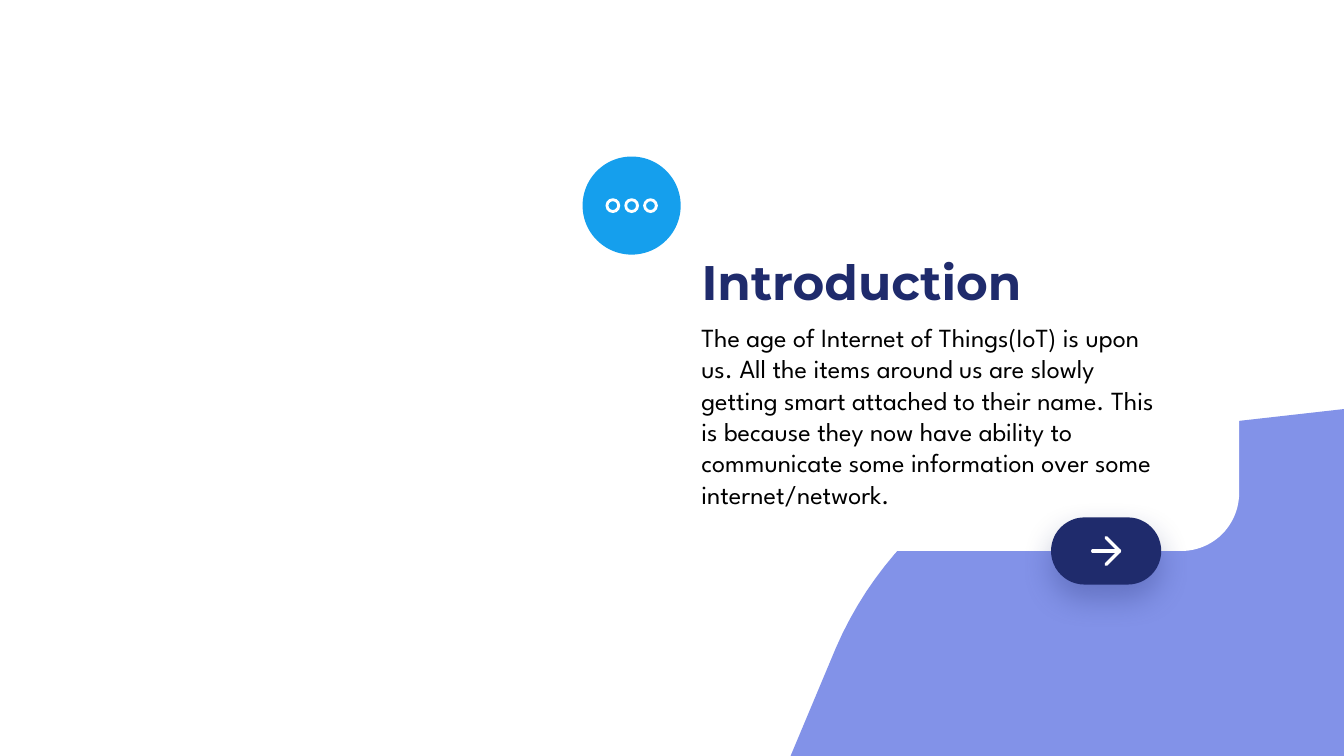
import pptx
import pptx.util
import pptx.dml.color
import pptx.enum.shapes
import pptx.enum.text
import pptx.oxml
import pptx.oxml.ns

Inches, Pt = pptx.util.Inches, pptx.util.Pt
SHAPE = pptx.enum.shapes.MSO_SHAPE
ANCHOR = pptx.enum.text.MSO_ANCHOR

# Content
HEADING = "Introduction"
BODY = ("The age of Internet of Things(IoT) is upon us. All the items around us "
        "are slowly getting smart attached to their name. This is because they now "
        "have ability to communicate some information over some internet/network.")
COLORS = {"wave": "8292E8", "white": "FFFFFF", "navy": "1F2B6C",
          "sky": "159FED", "black": "000000"}
HEADING_FONT = {"name": "Montserrat", "size": Pt(26), "bold": True}
BODY_FONT = {"name": "League Spartan", "size": Pt(14), "bold": False}

# Layout, in inches, on a 16:9 slide
WIDTH = 10
HEIGHT = WIDTH * 9 / 16
TEXT_LEFT, TEXT_WIDTH = 5.12, 3.66
CARD = (4.69, 1.52, 4.53, 2.58)
BADGE_CENTER, BADGE_SIZE = (4.7, 1.53), 0.73
DOT_SIZE, DOT_PITCH = 0.11, 0.14
BUTTON = (7.82, 3.85, 0.82, 0.5)
ARROW_TAIL, ARROW_TIP, ARROW_Y, ARROW_HEAD = 8.13, 8.33, 4.1, 0.1
WAVE_START, WAVE_CURVE = (5.88, 5.63), [(6.22, 4.82), (6.6, 3.94), (7.41, 3.33), (8.35, 3.23)]
WAVE_RIGHT, WAVE_TOP = 10.03, 3.04

prs = pptx.Presentation()
prs.slide_width, prs.slide_height = Inches(WIDTH), Inches(HEIGHT)
slide = prs.slides.add_slide(prs.slide_layouts[5])
shapes = slide.shapes


def rgb(color):
    return pptx.dml.color.RGBColor.from_string(COLORS[color])


def add_filled(kind, box, color, adjustment=None):
    shape = shapes.add_shape(kind, *map(Inches, box))
    shape.shadow.inherit = False
    shape.fill.solid()
    shape.fill.fore_color.rgb = rgb(color)
    shape.line.fill.background()
    if adjustment is not None:
        shape.adjustments[0] = adjustment
    return shape


def add_path(points, close):
    points = [(Inches(x), Inches(y)) for x, y in points]
    builder = shapes.build_freeform(*points[0])
    builder.add_line_segments(points[1:], close=close)
    path = builder.convert_to_shape()
    path.shadow.inherit = False
    return path


def centered(center, size):
    return center[0] - size / 2, center[1] - size / 2, size, size


def bezier(controls, steps=24):
    weights = (1, 3, 3, 1)
    for step in range(steps + 1):
        t = step / steps
        yield tuple(sum(w * (1 - t) ** (3 - i) * t ** i * point[axis]
                        for i, (w, point) in enumerate(zip(weights, controls)))
                    for axis in (0, 1))


def write(shape, box, text, font, color, anchor):
    shape.left, shape.top, shape.width, shape.height = map(Inches, box)
    frame = shape.text_frame
    settings = {"word_wrap": True, "auto_size": pptx.enum.text.MSO_AUTO_SIZE.NONE,
                "vertical_anchor": anchor}
    settings.update({f"margin_{side}": Inches(0.1)
                     for side in ("left", "top", "right", "bottom")})
    for name, value in settings.items():
        setattr(frame, name, value)
    frame.text = text
    paragraph = frame.paragraphs[0]
    paragraph.alignment = pptx.enum.text.PP_ALIGN.LEFT
    for name, value in font.items():
        setattr(paragraph.runs[0].font, name, value)
    paragraph.runs[0].font.color.rgb = rgb(color)


# Corner wave with the white card cut into it
wave = add_path([WAVE_START, *bezier(WAVE_CURVE), (WAVE_RIGHT, WAVE_TOP),
                 (WAVE_RIGHT, WAVE_START[1])], close=True)
wave.fill.solid()
wave.fill.fore_color.rgb = rgb("wave")
wave.line.fill.background()
add_filled(SHAPE.ROUNDED_RECTANGLE, CARD, "white", 0.167)

# Text, with the title brought in front of the card
body = shapes.add_textbox(0, 0, 0, 0)
write(body, (TEXT_LEFT, 2.29, TEXT_WIDTH, 1.56), BODY, BODY_FONT, "black", ANCHOR.TOP)
heading = shapes.title
write(heading, (TEXT_LEFT, 1.79, TEXT_WIDTH, 0.62), HEADING, HEADING_FONT, "navy", ANCHOR.BOTTOM)
heading.element.getparent().append(heading.element)

# Badge with three rings
add_filled(SHAPE.OVAL, centered(BADGE_CENTER, BADGE_SIZE), "sky")
for column in (-1, 0, 1):
    ring_center = (BADGE_CENTER[0] + column * DOT_PITCH, BADGE_CENTER[1])
    add_filled(SHAPE.DONUT, centered(ring_center, DOT_SIZE), "white", 0.2)

# Button with a soft shadow
button = add_filled(SHAPE.ROUNDED_RECTANGLE, BUTTON, "navy", 0.5)
effects = button.element.spPr.find(pptx.oxml.ns.qn("a:effectLst"))
effects.append(pptx.oxml.parse_xml(
    f'<a:outerShdw {pptx.oxml.ns.nsdecls("a")} blurRad="{Pt(16.9)}" dist="{Pt(7.5)}" '
    f'dir="5400000" algn="bl" rotWithShape="0"><a:srgbClr val="{COLORS["navy"]}">'
    '<a:alpha val="30000"/></a:srgbClr></a:outerShdw>'))

# Arrow: shaft and open head, with round ends
shaft = shapes.add_connector(pptx.enum.shapes.MSO_CONNECTOR.STRAIGHT,
                             *map(Inches, (ARROW_TAIL, ARROW_Y, ARROW_TIP, ARROW_Y)))
shaft.element.spPr.append(pptx.oxml.parse_xml(f'<a:effectLst {pptx.oxml.ns.nsdecls("a")}/>'))
head = add_path([(ARROW_TIP - ARROW_HEAD, ARROW_Y - ARROW_HEAD), (ARROW_TIP, ARROW_Y),
                 (ARROW_TIP - ARROW_HEAD, ARROW_Y + ARROW_HEAD)], close=False)
head.fill.background()
for stroke in (shaft, head):
    stroke.line.color.rgb = rgb("white")
    stroke.line.width = Pt(1.75)
    outline = stroke.element.spPr.find(pptx.oxml.ns.qn("a:ln"))
    outline.set("cap", "rnd")
    outline.append(pptx.oxml.parse_xml(f'<a:round {pptx.oxml.ns.nsdecls("a")}/>'))

prs.save("out.pptx")
